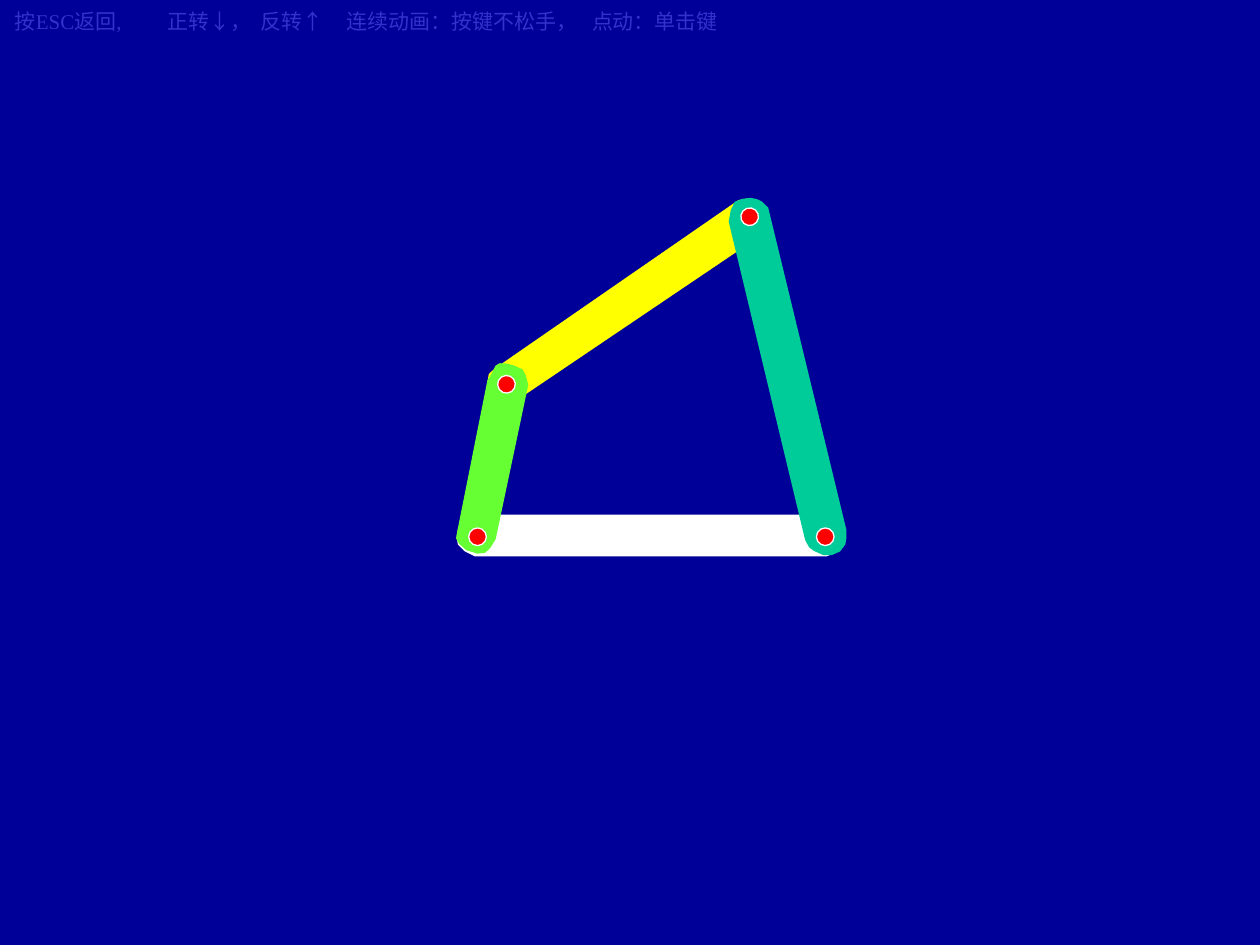
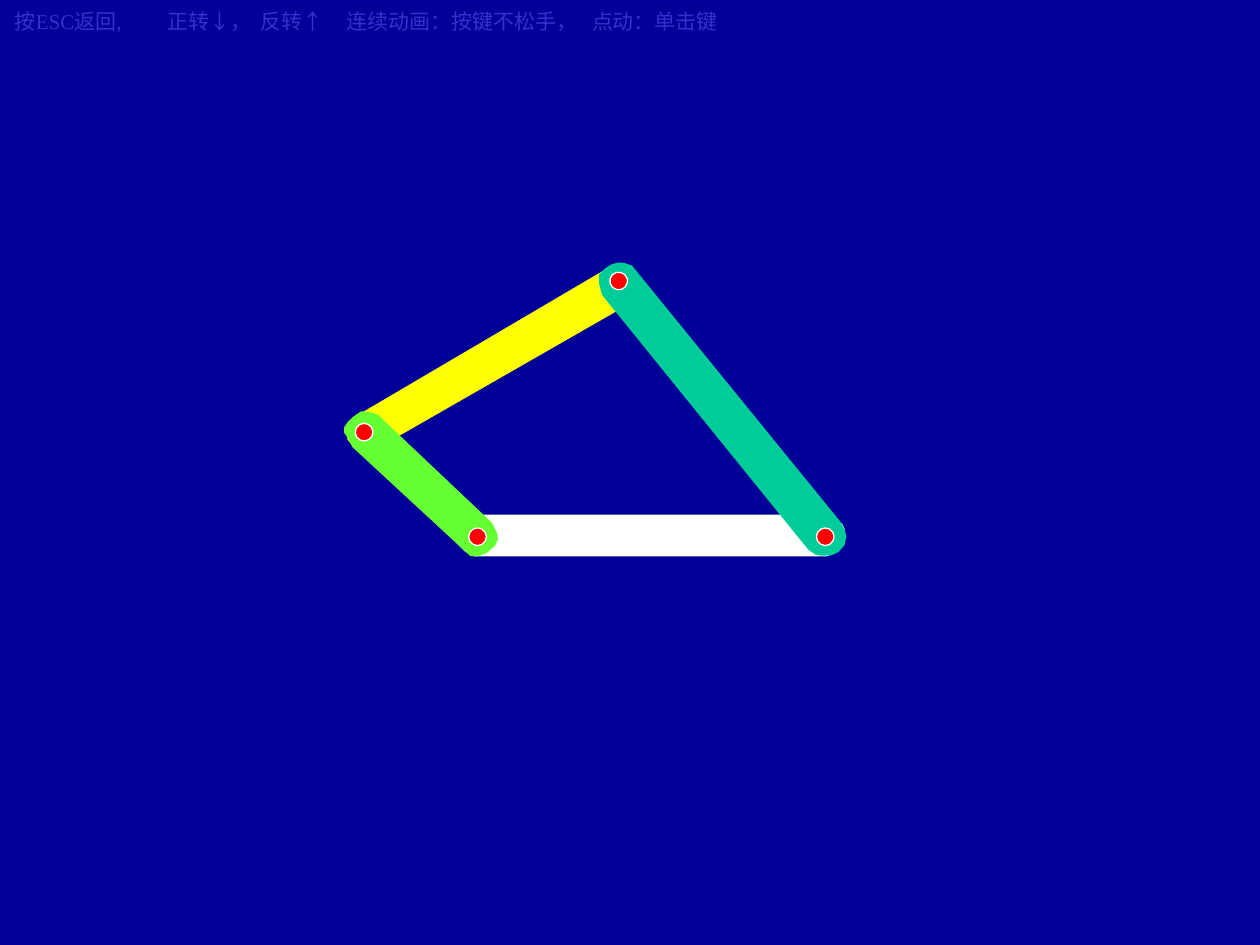
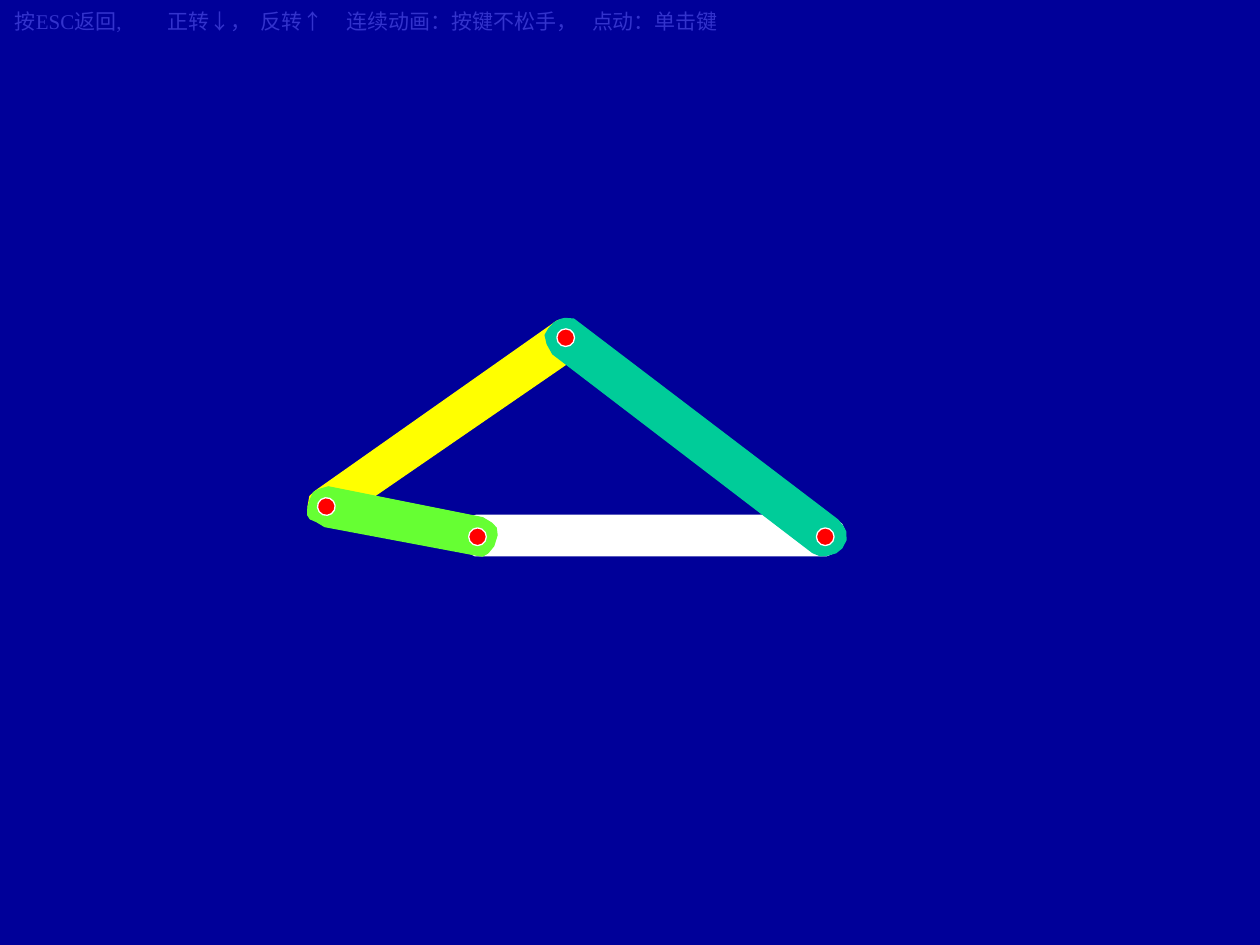
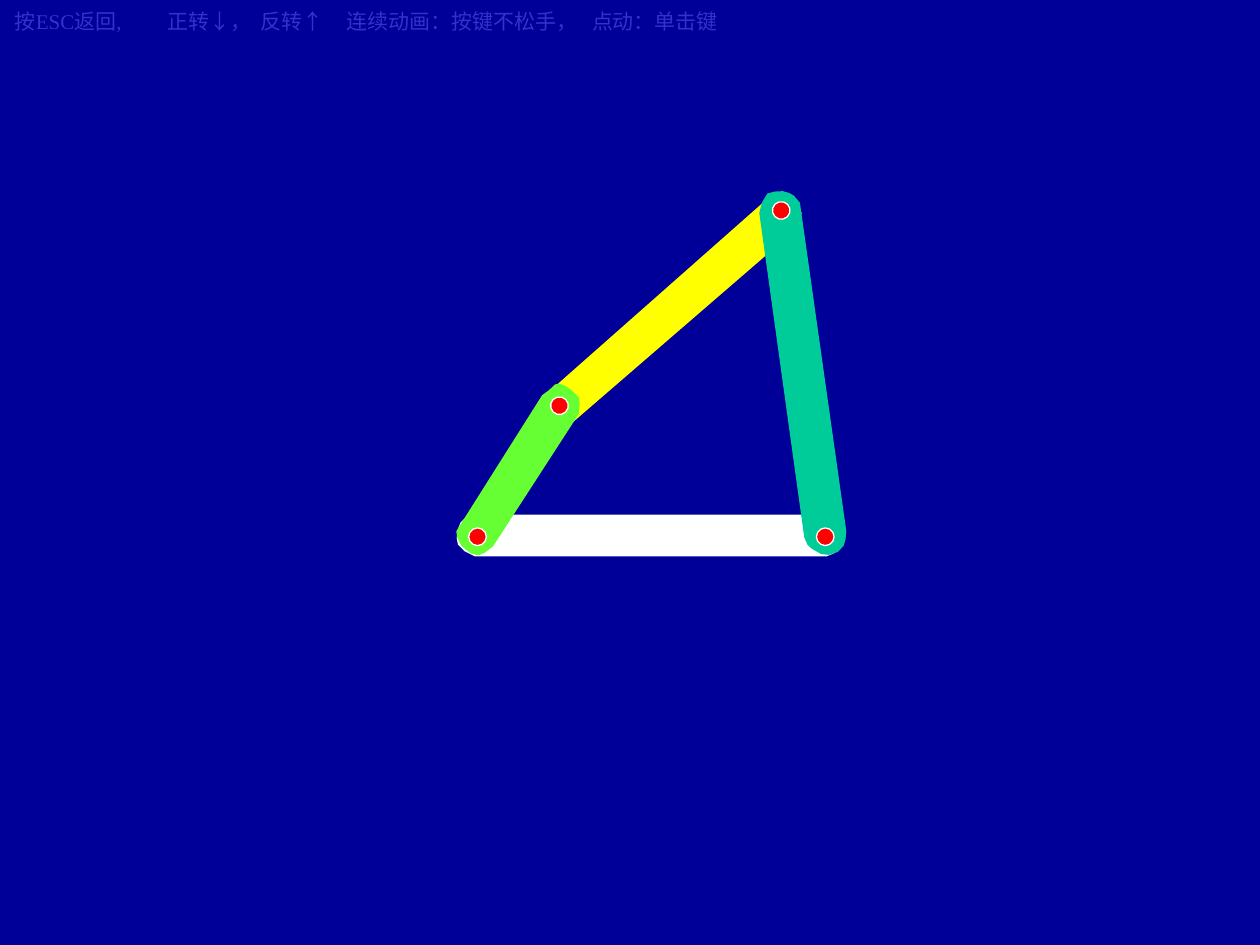
from dataclasses import dataclass

from pptx import Presentation
from pptx import util as u
from pptx.dml.color import RGBColor
from pptx.enum import shapes, text
from pptx.oxml import parse_xml
from pptx.oxml.ns import nsdecls

Point = tuple[float, float]

NAVY, INDIGO = "000099", "3333CC"
WHITE, YELLOW, GREEN, TEAL, RED = "FFFFFF", "FFFF00", "66FF33", "00CC99", "FF0000"
HINT_FONT = "Times New Roman"
HINTS = ["按ESC返回,", "正转↓，", "反转↑", "连续动画：按键不松手，", "点动：单击键"]
HINT_STOPS = [1.21, 1.95, 2.63, 4.58]
PIN_SIZE = 0.14
FIXED_PINS = [(6.48, 4.19), (3.72, 4.19)]


@dataclass(frozen=True)
class Bar:
    color: str
    outline: list[Point]


@dataclass(frozen=True)
class Place:
    left: float
    top: float
    angle: float = 0


@dataclass(frozen=True)
class Pose:
    coupler: Place
    crank: Place
    crank_pin: Point
    rocker: Place
    rocker_pin: Point


FRAME = Bar(WHITE, [
    (0.15, 0), (2.91, 0), (2.96, 0.02), (3, 0.03), (3.05, 0.07), (3.07, 0.11),
    (3.07, 0.17), (3.05, 0.23), (3.03, 0.27), (2.98, 0.3), (2.93, 0.32),
    (0.14, 0.32), (0.06, 0.28), (0.01, 0.23), (0, 0.18), (0.01, 0.11),
    (0.03, 0.06), (0.07, 0.02),
])
COUPLER = Bar(YELLOW, [
    (0.07, 1.22), (2.08, 0.01), (2.16, 0), (2.2, 0.02), (2.26, 0.06),
    (2.29, 0.09), (2.31, 0.17), (2.28, 0.24), (2.24, 0.29), (0.23, 1.47),
    (0.17, 1.49), (0.12, 1.48), (0.07, 1.47), (0.01, 1.4), (0, 1.34),
    (0.02, 1.26),
])
CRANK = Bar(GREEN, [
    (0.28, 1.39), (0, 0.19), (0.01, 0.12), (0.01, 0.06), (0.03, 0.03),
    (0.08, 0.01), (0.14, 0), (0.21, 0), (0.25, 0.03), (0.3, 0.09),
    (0.57, 1.31), (0.56, 1.39), (0.54, 1.44), (0.49, 1.47), (0.4, 1.48),
    (0.33, 1.46), (0.29, 1.43),
])
ROCKER = Bar(TEAL, [
    (1.04, 2.59), (0, 0.21), (0, 0.17), (0, 0.12), (0.02, 0.05), (0.07, 0.02),
    (0.13, 0), (0.18, 0), (0.22, 0.01), (0.28, 0.05), (1.34, 2.46),
    (1.35, 2.52), (1.35, 2.57), (1.32, 2.63), (1.26, 2.67), (1.2, 2.68),
    (1.12, 2.66), (1.08, 2.64),
])
FRAME_PLACE = Place(3.63, 4.09)

POSES = [
    Pose(Place(3.83, 1.64, 356.4), Place(3.62, 2.9, 24.4), (3.95, 2.98),
         Place(5.58, 1.65, 10.1), (5.88, 1.65)),
    Pose(Place(2.76, 2.1, 0.6), Place(3.06, 3.1, 325.9), (2.82, 3.36),
         Place(5.06, 1.91, 344.6), (4.84, 2.16)),
    Pose(Place(2.4, 2.6, 355.9), Place(2.91, 3.4, 293.8), (2.52, 3.95),
         Place(4.85, 2.13, 331), (4.42, 2.61)),
    Pose(Place(4.17, 1.72, 349.6), Place(3.83, 2.99, 45.4), (4.37, 3.15),
         Place(5.7, 1.62, 15.7), (6.13, 1.6)),
]


def rgb(color: str) -> RGBColor:
    return RGBColor.from_string(color)


def paint(shape, fill: str, line: str, angle: float) -> None:
    shape.shadow.inherit = False
    shape.fill.solid()
    shape.fill.fore_color.rgb = rgb(fill)
    shape.line.color.rgb = rgb(line)
    shape.line.width = u.Pt(0.75)
    shape.rotation = angle


def draw_bar(slide, bar: Bar, place: Place) -> None:
    corners = [(u.Inches(place.left + x), u.Inches(place.top + y))
               for x, y in bar.outline]
    builder = slide.shapes.build_freeform(*corners[0])
    builder.add_line_segments(corners[1:], close=True)
    paint(builder.convert_to_shape(), bar.color, bar.color, place.angle)


def draw_pin(slide, corner: Point, angle: float = 0) -> None:
    pin = slide.shapes.add_shape(
        shapes.MSO_SHAPE.OVAL, u.Inches(corner[0]), u.Inches(corner[1]),
        u.Inches(PIN_SIZE), u.Inches(PIN_SIZE))
    paint(pin, RED, WHITE, angle)


def draw_hints(slide) -> None:
    box = slide.shapes.add_textbox(
        u.Inches(0.02), u.Inches(0.02), u.Inches(6.49), u.Inches(0.3))
    frame = box.text_frame
    frame.word_wrap = True
    frame.auto_size = text.MSO_AUTO_SIZE.SHAPE_TO_FIT_TEXT
    line = frame.paragraphs[0]
    stops = "".join(f'<a:tab pos="{u.Inches(stop)}" algn="l"/>' for stop in HINT_STOPS)
    line._p.get_or_add_pPr().append(
        parse_xml(f'<a:tabLst {nsdecls("a")}>{stops}</a:tabLst>'))
    for index, hint in enumerate(HINTS):
        run = line.add_run()
        run.text = f"\t{hint}" if index else hint
        run.font.name = HINT_FONT
        run.font.size = u.Pt(12)
        run.font.color.rgb = rgb(INDIGO)


def draw_linkage(slide, pose: Pose) -> None:
    draw_bar(slide, FRAME, FRAME_PLACE)
    draw_bar(slide, COUPLER, pose.coupler)
    draw_bar(slide, CRANK, pose.crank)
    draw_pin(slide, pose.crank_pin, pose.crank.angle)
    draw_bar(slide, ROCKER, pose.rocker)
    draw_pin(slide, pose.rocker_pin, pose.rocker.angle)
    for corner in FIXED_PINS:
        draw_pin(slide, corner)


def main() -> None:
    deck = Presentation()
    deck.slide_width, deck.slide_height = u.Inches(10), u.Inches(7.5)
    backdrop = deck.slide_master.background.fill
    backdrop.solid()
    backdrop.fore_color.rgb = rgb(NAVY)
    for pose in POSES:
        slide = deck.slides.add_slide(deck.slide_layouts[6])
        draw_linkage(slide, pose)
        draw_hints(slide)
    deck.save("out.pptx")


if __name__ == "__main__":
    main()
